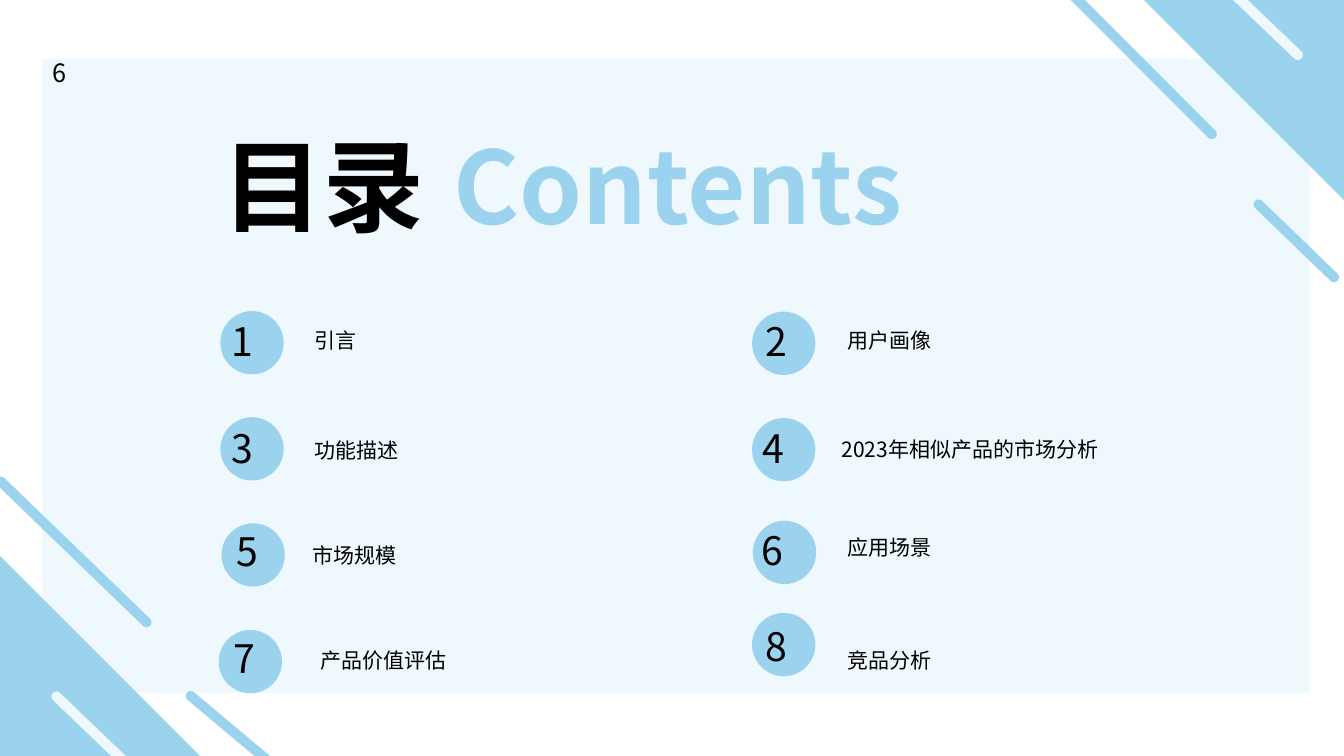
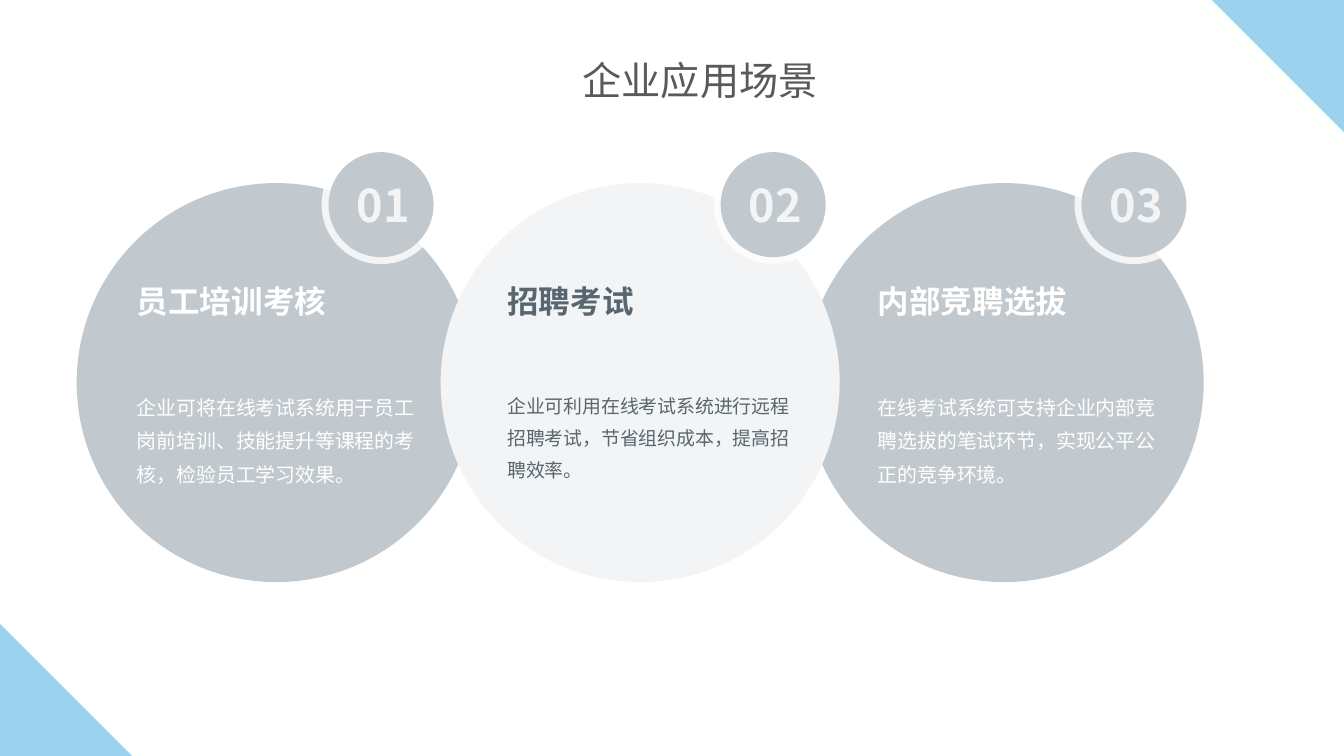
from dataclasses import dataclass
from math import atan2, cos, pi, sin

from lxml.etree import SubElement
from pptx import Presentation
from pptx.dml.color import RGBColor as Rgb
from pptx.enum.shapes import MSO_SHAPE as Kind
from pptx.enum.text import MSO_ANCHOR as Anchor, MSO_AUTO_SIZE as Fit, PP_ALIGN as Align
from pptx.oxml.ns import qn
from pptx.util import Pt


@dataclass(frozen=True)
class Theme:
    font: str = "Noto Sans CJK SC"
    blue: str = "9BD3EF"
    pale: str = "EEF8FD"
    black: str = "000000"
    white: str = "FFFFFF"
    grey: str = "C1C9CE"
    mist: str = "F3F4F5"
    slate: str = "58666F"
    ink: str = "595959"
    hero: float = 72
    badge: float = 32.2
    title: float = 28
    head: float = 22.5
    page: float = 18
    label: float = 15
    body: float = 14.2
    small: float = 13.5


T = Theme()
WIDE, HIGH = 960, 540
BAR = 7.2
PADS = (7.2, 3.6, 7.2, 3.6)
ROOMY = (10, 10, 4.3, 10)

ITEMS = [
    ("1", "引言", (157.4, 222.2), (158.4, 229.7), (217.4, 234)),
    ("2", "用户画像", (537.2, 222.6), (540, 229.7), (598.3, 234)),
    ("3", "功能描述", (157.4, 298), (158.4, 306), (217.4, 312.5)),
    ("4", "2023年相似产品的市场分析", (537.2, 298.6), (537.8, 306), (594, 311.8)),
    ("5", "市场规模", (158.2, 373.8), (162, 379.4), (216, 387.4)),
    ("6", "应用场景", (537.8, 372), (537.2, 378.7), (598.3, 381.6)),
    ("7", "产品价值评估", (156.2, 450), (159.8, 455.8), (221.8, 462.2)),
    ("8", "竞品分析", (537.2, 437.8), (540, 447.8), (598.3, 462.2)),
]

CASES = [
    ("员工培训考核", "企业可将在线考试系统用于员工岗前培训、技能提升等课程的考核，检验员工学习效果。",
     T.grey, T.white, T.body, 229.7),
    ("招聘考试", "企业可利用在线考试系统进行远程招聘考试，节省组织成本，提高招聘效率。",
     T.mist, T.slate, T.small, 509.8),
    ("内部竞聘选拔", "在线考试系统可支持企业内部竞聘选拔的笔试环节，实现公平公正的竞争环境。",
     T.grey, T.white, T.body, 767.5),
]


def write(shape, text, size=T.label, color=T.black, bold=False, space=0.8,
          track=0, align=Align.LEFT, anchor=Anchor.TOP, pads=PADS):
    frame = shape.text_frame
    frame.word_wrap = True
    frame.auto_size = Fit.NONE
    frame.vertical_anchor = anchor
    (frame.margin_left, frame.margin_top,
     frame.margin_right, frame.margin_bottom) = map(Pt, pads)
    para = frame.paragraphs[0]
    para.alignment = align
    para.line_spacing = space
    run = para.add_run()
    run.text = text
    font = run.font
    font.name, font.size, font.bold = T.font, Pt(size), bold
    font.color.rgb = Rgb.from_string(color)
    props = run._r.get_or_add_rPr()
    SubElement(props, qn("a:ea")).set("typeface", T.font)
    if track:
        props.set("spc", str(track * 100))


def label(slide, box, text, **style):
    write(slide.shapes.add_textbox(*map(Pt, box)), text, **style)


def head(slide, box, text, **style):
    title = slide.shapes.title
    title.left, title.top, title.width, title.height = map(Pt, box)
    slide.shapes.element.append(title.element)
    write(title, text, **style)


def paint(shape, color, alpha=None):
    shape.shadow.inherit = False
    shape.fill.solid()
    shape.fill.fore_color.rgb = Rgb.from_string(color)
    shape.line.fill.background()
    if alpha:
        tone = shape.element.spPr.find(qn("a:solidFill"))[0]
        SubElement(tone, qn("a:alpha")).set("val", str(alpha * 1000))


def block(slide, kind, box, color, turn=0, alpha=None):
    shape = slide.shapes.add_shape(kind, *map(Pt, box))
    shape.rotation = turn
    paint(shape, color, alpha)
    return shape


def disc(slide, x, y, size, color, alpha=None):
    block(slide, Kind.OVAL, (x, y, size, size), color, alpha=alpha)


def bar(slide, x, y, long, turn):
    shape = block(slide, Kind.ROUNDED_RECTANGLE, (x, y, BAR, long), T.blue, turn)
    shape.adjustments[0] = 0.5


def slash(slide, tip, end, color):
    (x, y), (far, edge) = tip, end
    way = atan2(edge - y, far - x)
    cap = [(x + BAR / 2 * cos(way + pi / 2 + pi * i / 12),
            y + BAR / 2 * sin(way + pi / 2 + pi * i / 12)) for i in range(13)]
    slope = (far - x) / (edge - y)
    ends = [(a + (edge - b) * slope, edge) for a, b in (cap[0], cap[-1])]
    dots = [(Pt(a), Pt(b)) for a, b in [ends[0], *cap, ends[1]]]
    path = slide.shapes.build_freeform(*dots[0])
    path.add_line_segments(dots[1:], close=True)
    paint(path.convert_to_shape(), color)


def wedges(slide, size):
    block(slide, Kind.RIGHT_TRIANGLE, (0, HIGH - size, size, size), T.blue)
    block(slide, Kind.RIGHT_TRIANGLE, (WIDE - size, 0, size, size), T.blue, 180)


def contents(slide):
    panel = block(slide, Kind.RECTANGLE, (30.2, 41.8, 905, 453), T.pale)
    write(panel, "6", size=T.page, track=2)
    wedges(slide, 143)
    bar(slide, 49, 318.2, 152, 314)
    bar(slide, 161.3, 480.2, 82, 310)
    bar(slide, 922.3, 131, 82, 314)
    slash(slide, (865.6, 95.8), (769.8, 0), T.blue)
    slash(slide, (40.3, 497.5), (84.6, HIGH), T.pale)
    slash(slide, (927, 39.2), (886, 0), T.pale)
    head(slide, (152, 101.5, 240, 94.3), "目录", size=T.hero, bold=True)
    label(slide, (316.8, 101.5, 420.5, 94.3), "Contents",
          size=T.hero, color=T.blue, bold=True)
    for num, text, spot, mark, note in ITEMS:
        disc(slide, *spot, 45.2, T.blue)
        label(slide, (*mark, 42.5, 34.6), num, size=T.title, track=2)
        label(slide, (*note, 204, 21.6), text)


def cases(slide):
    wedges(slide, 94.3)
    for i in (0, 2, 1):
        disc(slide, 54.8 + 260 * i, 130.8, 285, CASES[i][2])
    for i, (name, text, fill, color, size, x) in enumerate(CASES):
        left = 87.8 + 264.6 * i
        label(slide, (left, 188, 210, 80), name, size=T.head, color=color,
              bold=True, space=1.12, pads=ROOMY)
        label(slide, (left, 265.7, 219.6, 95), text, size=size, color=color,
              space=1.4, pads=ROOMY)
        disc(slide, x, 103.7, 85, T.white, alpha=80)
        disc(slide, x + 5, 108.7, 75, T.grey)
        label(slide, (x - 2.4, 116, 87, 60), f"{i + 1:02}", size=T.badge,
              color=T.mist, bold=True, space=1.0, align=Align.CENTER,
              anchor=Anchor.MIDDLE, pads=ROOMY)
    head(slide, (409, 43.2, 204, 41), "企业应用场景", size=T.title, color=T.ink)


def main():
    deck = Presentation()
    deck.slide_width, deck.slide_height = Pt(WIDE), Pt(HIGH)
    for build in (contents, cases):
        build(deck.slides.add_slide(deck.slide_layouts[5]))
    deck.save("out.pptx")


if __name__ == "__main__":
    main()
